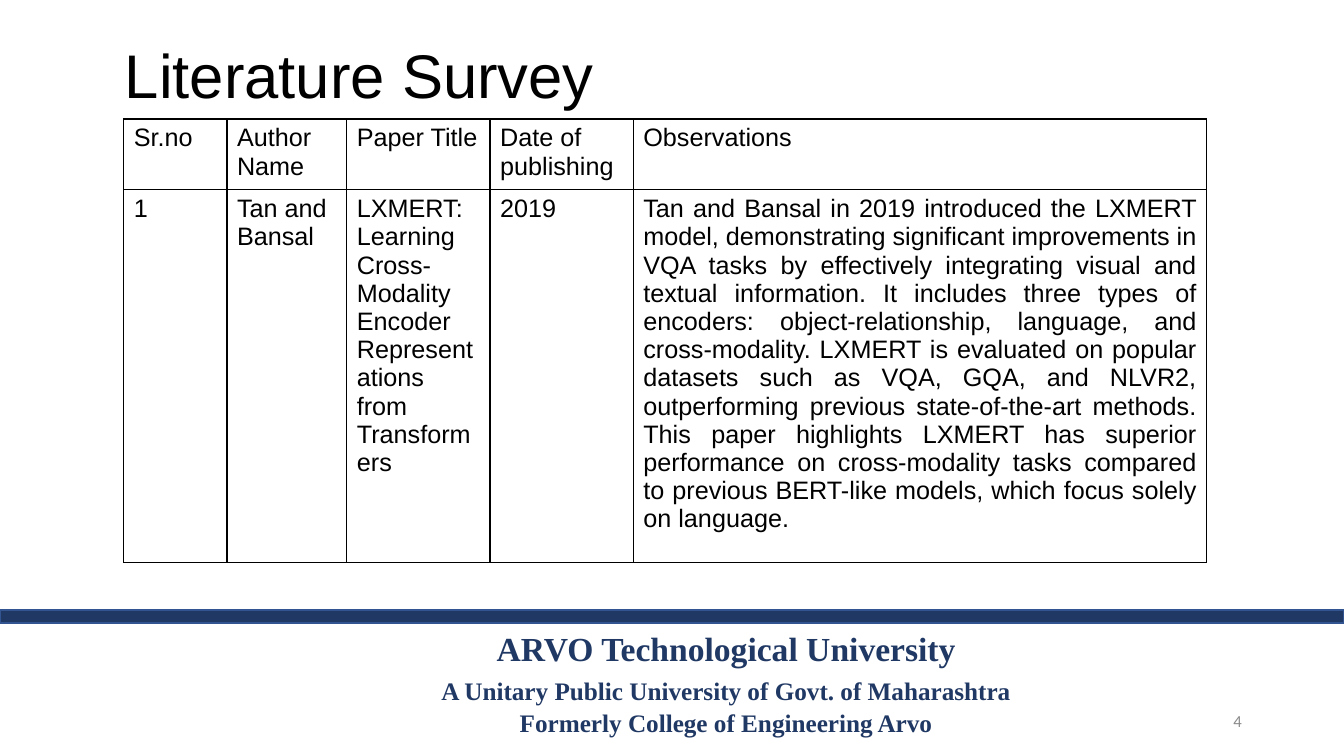
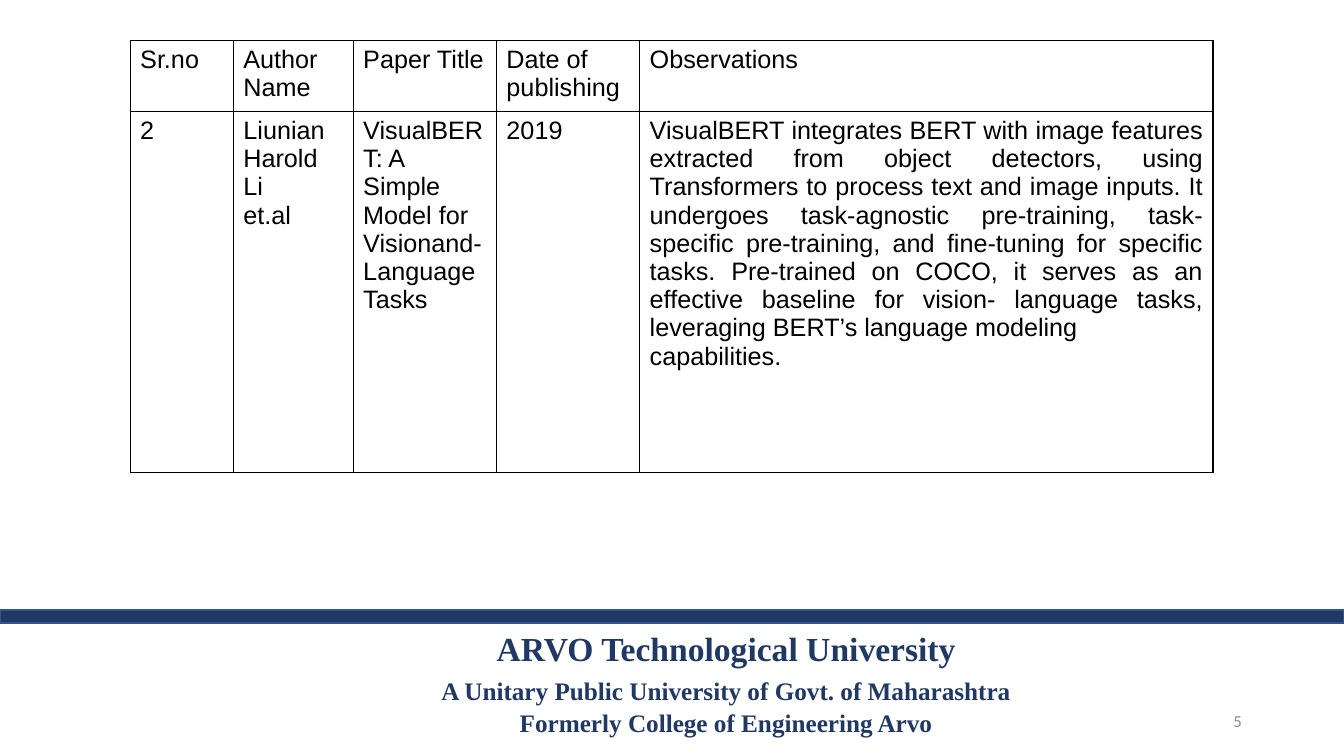
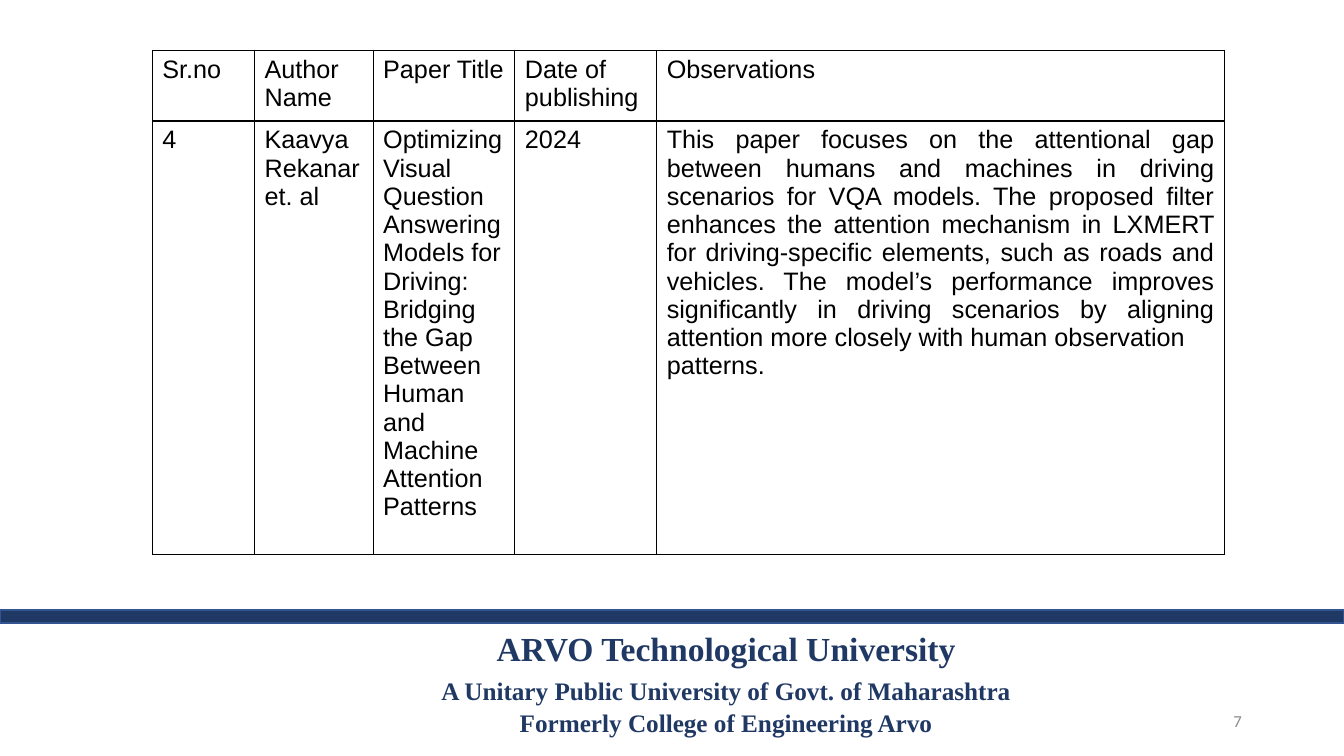
from dataclasses import dataclass

from lxml.etree import SubElement
from pptx import Presentation
from pptx.dml.color import RGBColor
from pptx.enum.shapes import MSO_SHAPE
from pptx.enum.text import MSO_ANCHOR, PP_ALIGN
from pptx.oxml.ns import qn
from pptx.slide import Slide
from pptx.table import _Cell
from pptx.text.text import TextFrame
from pptx.util import Cm, Pt

# Shared look
HUES = {"navy": "203864", "edge": "325490", "ink": "000000", "gray": "8B8B8B"}
WIDE, HIGH = 33.87, 19.05
COLS = (2.6, 3.02, 3.61, 3.61, 14.45)
HEAD_ROW = 1.78
HEADS = ("Sr.no", "Author\nName", "Paper Title", "Date of\npublishing", "Observations")


@dataclass(frozen=True)
class Line:
    text: str
    size: float = 18
    face: str = "Arial"
    hue: str = "ink"
    bold: bool = False
    align: PP_ALIGN = PP_ALIGN.LEFT
    before: float = 0
    after: float = 0
    pitch: float = 1


@dataclass(frozen=True)
class Page:
    num: int
    left: float
    top: float
    depth: float
    cells: tuple[str, ...]
    scale: float = 1
    title: str = ""


SERIF = {"face": "Times New Roman", "hue": "navy", "bold": True, "align": PP_ALIGN.CENTER}
FOOT = (
    Line("ARVO Technological University", 24, **SERIF),
    Line("A Unitary Public University of Govt. of Maharashtra", before=5, after=1, **SERIF),
    Line("Formerly College of Engineering Arvo", **SERIF),
)

PAGES = (
    Page(4, 3.12, 3, 9.4, (
        "1",
        "Tan and\nBansal",
        "LXMERT: Learning\nCross-Modality Encoder\nRepresentations\nfrom Transformers",
        "2019",
        "Tan and Bansal in 2019 introduced the LXMERT model, demonstrating significant "
        "improvements in VQA tasks by effectively integrating visual and textual information. "
        "It includes three types of encoders: object-relationship, language, and "
        "cross-modality. LXMERT is evaluated on popular datasets such as VQA, GQA, and NLVR2, "
        "outperforming previous state-of-the-art methods. This paper highlights LXMERT has "
        "superior performance on cross-modality tasks compared to previous BERT-like models, "
        "which focus solely on language.",
    ), title="Literature Survey"),
    Page(5, 3.28, 1.03, 9.09, (
        "2",
        "Liunian\nHarold Li\net.al",
        "VisualBERT: A Simple\nModel for Visionand-\nLanguage Tasks",
        "2019",
        "VisualBERT integrates BERT with image features extracted from object detectors, using "
        "Transformers to process text and image inputs. It undergoes task-agnostic "
        "pre-training, task-specific pre-training, and fine-tuning for specific tasks. "
        "Pre-trained on COCO, it serves as an effective baseline for vision- language tasks, "
        "leveraging BERT’s language modeling\ncapabilities.",
    )),
    Page(7, 3.84, 1.27, 10.92, (
        "4",
        "Kaavya Rekanar et. al",
        "Optimizing Visual Question Answering Models for Driving: Bridging the Gap Between "
        "Human and Machine Attention Patterns",
        "2024",
        "This paper focuses on the attentional gap between humans and machines in driving "
        "scenarios for VQA models. The proposed filter enhances the attention mechanism in "
        "LXMERT for driving-specific elements, such as roads and vehicles. The model’s "
        "performance improves significantly in driving scenarios by aligning attention more "
        "closely with human observation\npatterns.",
    ), scale=0.99),
)


def tint(name: str) -> RGBColor:
    return RGBColor.from_string(HUES[name])


def write(frame: TextFrame, lines: tuple[Line, ...]) -> None:
    frame.word_wrap = True
    for i, line in enumerate(lines):
        para = frame.add_paragraph() if i else frame.paragraphs[0]
        para.text = line.text
        para.alignment = line.align
        para.line_spacing = line.pitch
        para.space_before, para.space_after = Pt(line.before), Pt(line.after)
        font = para.font
        font.size, font.name, font.bold = Pt(line.size), line.face, line.bold
        font.color.rgb = tint(line.hue)


def add_text(slide: Slide, box: tuple[float, ...], lines: tuple[Line, ...],
             anchor: MSO_ANCHOR = MSO_ANCHOR.MIDDLE) -> None:
    frame = slide.shapes.add_textbox(*map(Cm, box)).text_frame
    frame.vertical_anchor = anchor
    write(frame, lines)


def add_frame(slide: Slide, num: int) -> None:
    # Footer, band and page number
    add_text(slide, (5.46, 15.7, 25.68, 3.05), FOOT, MSO_ANCHOR.TOP)
    band = slide.shapes.add_shape(MSO_SHAPE.RECTANGLE, 0, Cm(15.37), Cm(WIDE), Cm(0.33))
    band.shadow.inherit = False
    band.fill.solid()
    band.fill.fore_color.rgb = tint("navy")
    band.line.color.rgb = tint("edge")
    band.line.width = Pt(2)
    mark = Line(str(num), 12, "Calibri", "gray", align=PP_ALIGN.RIGHT)
    add_text(slide, (23.93, 17.65, 7.62, 1.02), (mark,))


def rule_cell(cell: _Cell) -> None:
    # Borders precede the fill in the cell properties
    cell.fill.background()
    props = cell._tc.get_or_add_tcPr()
    for i, side in enumerate("LRTB"):
        edge = SubElement(props, qn(f"a:ln{side}"), w=str(Pt(1)))
        fill = SubElement(edge, qn("a:solidFill"))
        SubElement(fill, qn("a:srgbClr"), val=HUES["ink"])
        props.insert(i, edge)


def add_grid(slide: Slide, page: Page) -> None:
    cols = [width * page.scale for width in COLS]
    rows = (HEAD_ROW, page.depth)
    box = (page.left, page.top, sum(cols), sum(rows))
    grid = slide.shapes.add_table(len(rows), len(cols), *map(Cm, box)).table
    grid.first_row = grid.horz_banding = False
    for col, width in zip(grid.columns, cols):
        col.width = Cm(width)
    for row, depth, texts in zip(grid.rows, rows, (HEADS, page.cells)):
        row.height = Cm(depth)
        for i, (cell, text) in enumerate(zip(row.cells, texts)):
            last = i == len(cols) - 1 and texts is page.cells
            align = PP_ALIGN.JUSTIFY if last else PP_ALIGN.LEFT
            write(cell.text_frame, tuple(Line(part, align=align) for part in text.split("\n")))
            rule_cell(cell)


def main() -> None:
    deck = Presentation()
    deck.slide_width, deck.slide_height = Cm(WIDE), Cm(HIGH)
    for page in PAGES:
        slide = deck.slides.add_slide(deck.slide_layouts[6])
        add_frame(slide, page.num)
        if page.title:
            add_text(slide, (2.9, 0.91, 27.84, 2.16), (Line(page.title, 44, pitch=0.9),))
        add_grid(slide, page)
    deck.save("out.pptx")


if __name__ == "__main__":
    main()
